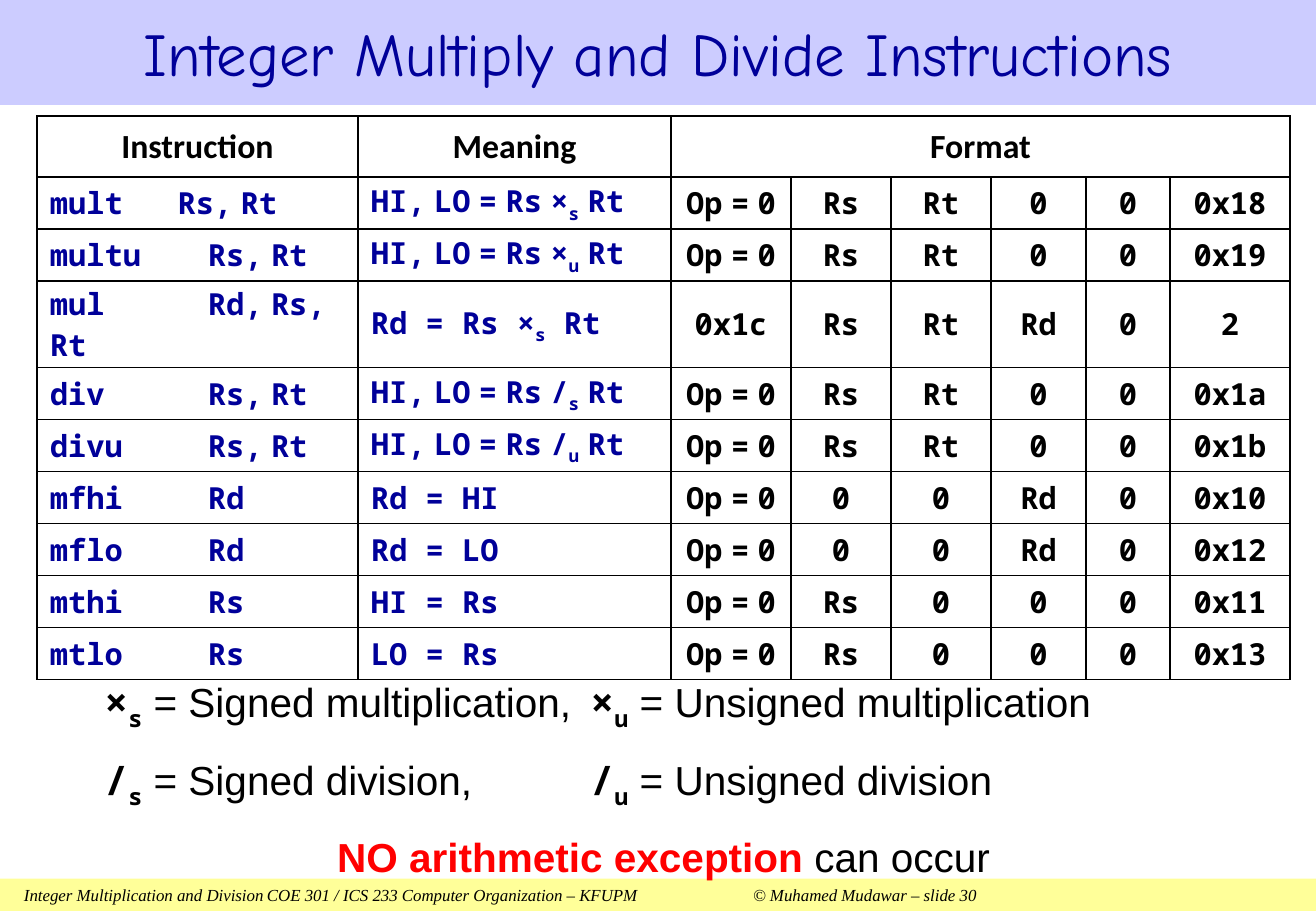
from lxml.etree import SubElement
from pptx import Presentation
from pptx.dml.color import RGBColor
from pptx.enum.shapes import MSO_SHAPE
from pptx.enum.text import MSO_ANCHOR, MSO_AUTO_SIZE, PP_ALIGN
from pptx.oxml.ns import qn
from pptx.util import Emu, Inches, Pt

PX = Inches(1) / 121.5
MONO = "Noto Sans Mono"
NAVY, BLACK, RED = "000099", "000000", "FF0000"


def rgb(value):
    """Turn a hex string into a colour."""
    return RGBColor.from_string(value)


def add_run(p, text, size, font, color, bold=False, italic=False, sub=False):
    """Add one formatted run to a paragraph."""
    r = p.add_run()
    r.text = text
    r.font.size = Pt(size)
    r.font.name = font
    r.font.color.rgb = rgb(color)
    r.font.bold = bold
    r.font.italic = italic
    if sub:
        r._r.get_or_add_rPr().set("baseline", "-25000")


prs = Presentation()
prs.slide_width, prs.slide_height = Inches(10.83), Inches(7.5)
s = prs.slides.add_slide(prs.slide_layouts[5])

# Default tab stops every inch
for root in (prs.element, prs.slide_master.element):
    for level in root.iter():
        if level.get("defTabSz"):
            level.set("defTabSz", str(Inches(1)))

# Footer band
sp = s.shapes.add_shape(MSO_SHAPE.RECTANGLE, 0, Emu(int(879 * PX)),
                        prs.slide_width, Emu(int(33 * PX)))
sp.shadow.inherit = False
sp.fill.solid()
sp.fill.fore_color.rgb = rgb("FFFF99")
sp.line.fill.background()
tf = sp.text_frame
tf.margin_left = Emu(int(24 * PX))
tf.margin_top = tf.margin_bottom = 0
tf.vertical_anchor = MSO_ANCHOR.MIDDLE
p = tf.paragraphs[0]
p.alignment = PP_ALIGN.LEFT
p._p.get_or_add_pPr().set("defTabSz", str(Inches(1)))
add_run(p, "Integer Multiplication and Division\tCOE 301 / ICS 233 Computer "
        "Organization – KFUPM\t© Muhamed Mudawar – slide 30",
        10, "Times New Roman", BLACK, italic=True)

# Title band
title = s.shapes.title
title.left, title.top = 0, 0
title.width, title.height = prs.slide_width, Emu(int(105 * PX))
title.fill.solid()
title.fill.fore_color.rgb = rgb("CCCCFF")
tf = title.text_frame
tf.auto_size = MSO_AUTO_SIZE.NONE
tf.vertical_anchor = MSO_ANCHOR.MIDDLE
p = tf.paragraphs[0]
p.alignment = PP_ALIGN.CENTER
add_run(p, "Integer Multiply and Divide Instructions", 36, "Comic Neue", NAVY)

# Instruction table: "_" marks a narrow space, "|" surrounds a subscript
headers = ["Instruction", "Meaning", "Format"]
instructions = [
    ("mult   Rs,_Rt", "HI,_LO_=_Rs_×|s|_Rt", "Op_=_0 Rs Rt 0 0 0x18"),
    ("multu\t  Rs,_Rt", "HI,_LO_=_Rs_×|u|_Rt", "Op_=_0 Rs Rt 0 0 0x19"),
    ("mul\t  Rd,_Rs,_Rt", "Rd = Rs ×|s| Rt", "0x1c Rs Rt Rd 0 2"),
    ("div\t  Rs,_Rt", "HI,_LO_=_Rs_/|s|_Rt", "Op_=_0 Rs Rt 0 0 0x1a"),
    ("divu\t  Rs,_Rt", "HI,_LO_=_Rs_/|u|_Rt", "Op_=_0 Rs Rt 0 0 0x1b"),
    ("mfhi\t  Rd", "Rd = HI", "Op_=_0 0 0 Rd 0 0x10"),
    ("mflo\t  Rd", "Rd = LO", "Op_=_0 0 0 Rd 0 0x12"),
    ("mthi\t  Rs", "HI = Rs", "Op_=_0 Rs 0 0 0 0x11"),
    ("mtlo\t  Rs", "LO = Rs", "Op_=_0 Rs 0 0 0 0x13"),
]
col_widths = [321, 313, 120, 100, 100, 95, 84, 120]
row_heights = [61] + [52] * len(instructions)
table = s.shapes.add_table(
    len(row_heights), len(col_widths), Emu(int(37 * PX)), Emu(int(116 * PX)),
    Emu(int(sum(col_widths) * PX)), Emu(int(sum(row_heights) * PX))).table
table.first_row = table.horz_banding = False
for col, width in zip(table.columns, col_widths):
    col.width = Emu(int(width * PX))
for row, height in zip(table.rows, row_heights):
    row.height = Emu(int(height * PX))

for cell in table.iter_cells():
    cell.vertical_anchor = MSO_ANCHOR.MIDDLE
    cell.margin_left = cell.margin_right = Emu(int(13 * PX))
    cell.margin_top = cell.margin_bottom = Emu(int(2 * PX))
    tcPr = cell._tc.get_or_add_tcPr()
    for side in ("a:lnL", "a:lnR", "a:lnT", "a:lnB"):
        ln = SubElement(tcPr, qn(side), w=str(Pt(1)))
        SubElement(SubElement(ln, qn("a:solidFill")), qn("a:srgbClr"), val=BLACK)
    cell.fill.background()

table.cell(0, 2).merge(table.cell(0, 7))
for j, header in enumerate(headers):
    p = table.cell(0, j).text_frame.paragraphs[0]
    p.alignment = PP_ALIGN.CENTER
    add_run(p, header, 20, "Calibri", BLACK, bold=True)

for i, (syntax, meaning, fields) in enumerate(instructions, 1):
    for j, text in enumerate([syntax, meaning] + fields.split(" ")):
        p = table.cell(i, j).text_frame.paragraphs[0]
        p.alignment = PP_ALIGN.LEFT if j < 2 else PP_ALIGN.CENTER
        p._p.get_or_add_pPr().set("defTabSz", str(Inches(1)))
        color = NAVY if j < 2 else BLACK
        for k, part in enumerate(text.split("|")):
            for n, word in enumerate(part.split("_")):
                if n:
                    add_run(p, " ", 18, "Arial", color, bold=True)
                if word:
                    add_run(p, word, 18, MONO, color, bold=True, sub=k == 1)

# Legend of the operators
sp = s.shapes.add_textbox(Emu(int(104 * PX)), Emu(int(666 * PX)),
                          Emu(int(1119 * PX)), Emu(int(210 * PX)))
tf = sp.text_frame
tf.word_wrap = True
tf.margin_left = tf.margin_right = 0
legend = [("×", " = Signed multiplication,\t", " = Unsigned multiplication"),
          ("/", " = Signed division,\t", " = Unsigned division")]
for i, (sign, signed, unsigned) in enumerate(legend):
    p = tf.add_paragraph() if i else tf.paragraphs[0]
    for suffix, text in (("s", signed), ("u", unsigned)):
        add_run(p, sign, 24, MONO, BLACK, bold=True)
        add_run(p, suffix, 24, MONO, BLACK, bold=True, sub=True)
        add_run(p, text, 24, "Arial", BLACK)
p = tf.add_paragraph()
p.alignment = PP_ALIGN.CENTER
add_run(p, "NO arithmetic exception ", 24, "Arial", RED, bold=True)
add_run(p, "can occur", 24, "Arial", BLACK)
for p in tf.paragraphs:
    p.line_spacing = 1.1
    p.space_before = Pt(10)
    p._p.get_or_add_pPr().set("defTabSz", str(Inches(1)))

prs.save("out.pptx")
